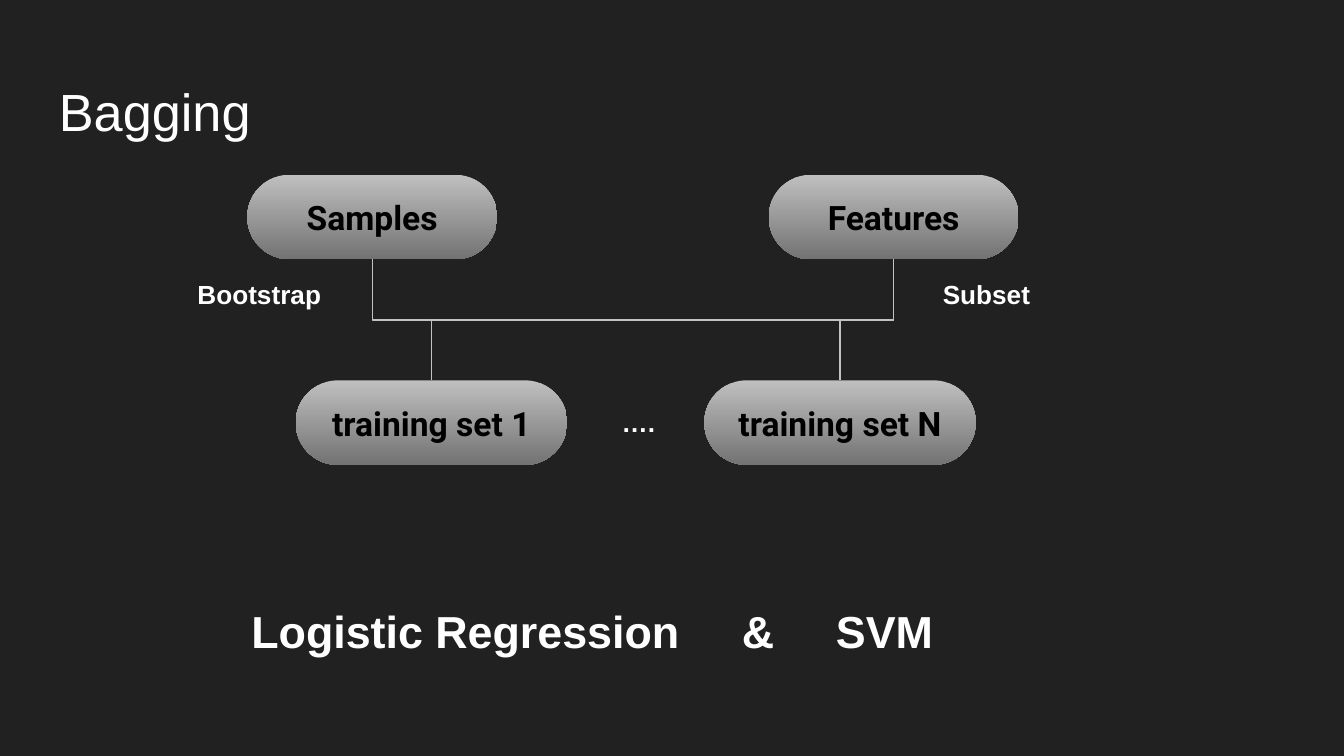
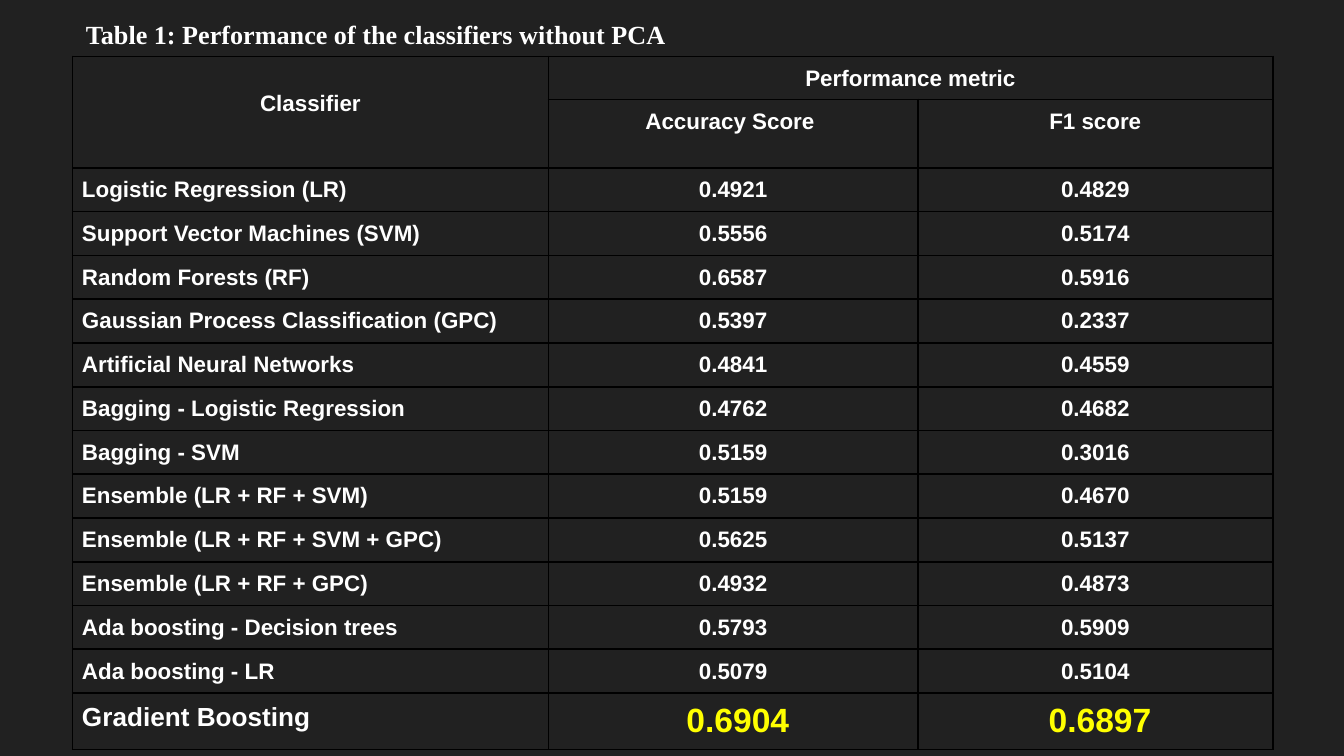
import lxml.etree
import pptx
import pptx.dml.color
import pptx.enum.shapes
import pptx.enum.text
import pptx.oxml.ns
import pptx.util

Inches, Pt = pptx.util.Inches, pptx.util.Pt
ALIGN = pptx.enum.text.PP_ALIGN
ANCHOR = pptx.enum.text.MSO_ANCHOR
SHAPE = pptx.enum.shapes.MSO_SHAPE
qn = pptx.oxml.ns.qn

# Shared look
WIDTH, HEIGHT = 10, 5.625
COLORS = {"background": "212121", "text": "FFFFFF", "pill text": "000000",
          "pill top": "BFBFBF", "pill bottom": "737373", "branch": "C2C2C2",
          "grid": "000000", "best": "FFFF00"}
TITLE_SIZE = (0.932, 0.112)  # shares of the slide
STYLES = {
    "title": {"name": "Arial", "size": Pt(28), "bold": False},
    "caption": {"name": "Times New Roman", "size": Pt(14), "bold": True},
    "pill": {"name": "Roboto", "size": Pt(18), "bold": True},
    "label": {"name": "Arial", "size": Pt(14), "bold": True},
    "models": {"name": "Arial", "size": Pt(24), "bold": True},
    "cell": {"name": "Arial", "size": Pt(12), "bold": True},
    "best": {"name": "Arial", "size": Pt(18), "bold": True},
}

# Content: bagging diagram (centre and width as shares of the slide width)
SOURCES = [("Samples", 0.277, 0.186), ("Features", 0.665, 0.186)]
TRAINING_SETS = [("training set 1", 0.321, 0.202), ("training set N", 0.625, 0.202)]
PILL_ROWS = {"sources": 1.3, "training": 2.83}
PILL_HEIGHT = 0.63
BRANCHES = [("training set 1", "Samples"), ("training set 1", "Features"),
            ("training set N", "Features")]
LABELS = [("Bootstrap", 1.21, 2.01, 1.44), ("Subset", 6.81, 2.01, 1.06),
          ("….", 4.22, 2.96, 1.06)]
LABEL_HEIGHT = 0.36
MODELS = ["Logistic Regression", "&", "SVM"]
MODEL_TABS = [3.65, 4.35]

# Content: results table
HEADERS = [["Classifier", "Performance metric", ""], ["", "Accuracy Score ", "F1 score"]]
RESULTS = [
    ("Logistic Regression (LR)", "0.4921", "0.4829"),
    ("Support Vector Machines (SVM)", "0.5556", "0.5174"),
    ("Random Forests (RF)", "0.6587", "0.5916"),
    ("Gaussian Process Classification (GPC)", "0.5397", "0.2337"),
    ("Artificial Neural Networks", "0.4841", "0.4559"),
    ("Bagging - Logistic Regression", "0.4762", "0.4682"),
    ("Bagging - SVM", "0.5159", "0.3016"),
    ("Ensemble (LR + RF + SVM)", "0.5159", "0.4670"),
    ("Ensemble (LR + RF + SVM + GPC)", "0.5625", "0.5137"),
    ("Ensemble (LR + RF + GPC)", "0.4932", "0.4873"),
    ("Ada boosting - Decision trees", "0.5793", "0.5909"),
    ("Ada boosting - LR", "0.5079", "0.5104"),
    ("Gradient Boosting", " 0.6904", " 0.6897"),
]
COLUMN_WIDTHS = [3.54, 2.75, 2.64]
HEADER_HEIGHTS = [0.32, 0.51]
BODY_HEIGHT, BEST_HEIGHT = 3.91, 0.42  # the body is shared by equal rows
CELL_MARGINS = {"margin_left": Inches(0.07), "margin_right": Inches(0.07),
                "margin_top": Inches(0.07), "margin_bottom": Inches(0.04)}


def rgb(color):
    return pptx.dml.color.RGBColor.from_string(COLORS[color])


def apply(target, values):
    for key, value in values.items():
        setattr(target, key, value)


def write(frame, text, style, color="text", align=ALIGN.LEFT, spacing=None):
    paragraph = frame.paragraphs[0]
    apply(paragraph, {"alignment": align, "line_spacing": spacing})
    run = paragraph.add_run()
    run.text = text
    apply(run.font, STYLES[style])
    run.font.color.rgb = rgb(color)
    return paragraph


def set_frame(frame, anchor=ANCHOR.MIDDLE):
    margins = {f"margin_{side}": Inches(0.1) for side in ("left", "right", "top", "bottom")}
    apply(frame, {"word_wrap": True, "vertical_anchor": anchor, **margins})
    return frame


def add_text(slide, box, anchor=ANCHOR.MIDDLE):
    return set_frame(slide.shapes.add_textbox(*map(Inches, box)).text_frame, anchor)


def add_title(slide, text, style, left, top, spacing=None):
    box = (left, top, TITLE_SIZE[0] * WIDTH, TITLE_SIZE[1] * HEIGHT)
    write(add_text(slide, box, ANCHOR.TOP), text, style, spacing=spacing)


def add_slide(deck):
    slide = deck.slides.add_slide(deck.slide_layouts[6])
    slide.background.fill.solid()
    slide.background.fill.fore_color.rgb = rgb("background")
    return slide


def add_pill(slide, text, centre, share, top):
    box = ((centre - share / 2) * WIDTH, top, share * WIDTH, PILL_HEIGHT)
    pill = slide.shapes.add_shape(SHAPE.ROUNDED_RECTANGLE, *map(Inches, box))
    pill.adjustments[0] = 0.5
    pill.shadow.inherit = False
    pill.line.fill.background()
    pill.fill.gradient()
    pill.fill.gradient_angle = 270
    for stop, color in zip(pill.fill.gradient_stops, ("pill top", "pill bottom")):
        stop.color.rgb = rgb(color)
    write(set_frame(pill.text_frame), text, "pill", "pill text", ALIGN.CENTER)
    return pill


def add_branch(slide, lower, upper):
    """Elbow from the top of the lower pill to the bottom of the upper one."""
    start_x, start_y = lower.left + lower.width // 2, lower.top
    end_x, end_y = upper.left + upper.width // 2, upper.top + upper.height
    branch = slide.shapes.add_connector(
        pptx.enum.shapes.MSO_CONNECTOR.ELBOW, start_x, start_y, end_x, end_y)
    branch.begin_connect(lower, 0)
    branch.end_connect(upper, 2)
    # A vertical elbow is a horizontal one turned by a quarter
    rise, run = start_y - end_y, abs(end_x - start_x)
    apply(branch, {"left": (start_x + end_x - rise) // 2, "top": (start_y + end_y - run) // 2,
                   "width": rise, "height": run})
    leftward = end_x < start_x
    turn = {"rot": "5400000" if leftward else "16200000",
            "flipH": "1" if leftward else "0", "flipV": "0"}
    properties = branch._element.spPr
    for key, value in turn.items():
        properties.find(qn("a:xfrm")).set(key, value)
    branch.line.color.rgb = rgb("branch")
    branch.line.width = Pt(0.75)
    lxml.etree.SubElement(properties, qn("a:effectLst"))


def add_borders(cell):
    properties = cell._tc.get_or_add_tcPr()
    for place, side in enumerate(("lnL", "lnR", "lnT", "lnB")):
        border = lxml.etree.Element(qn(f"a:{side}"), w=str(Pt(1)))
        fill = lxml.etree.SubElement(border, qn("a:solidFill"))
        lxml.etree.SubElement(fill, qn("a:srgbClr"), val=COLORS["grid"])
        properties.insert(place, border)


deck = pptx.Presentation()
apply(deck, {"slide_width": Inches(WIDTH), "slide_height": Inches(HEIGHT)})

# Slide 1: bagging diagram
bagging = add_slide(deck)
add_title(bagging, "Bagging", "title", 0.34, 0.49)
pills = {}
for row, items in (("sources", SOURCES), ("training", TRAINING_SETS)):
    for text, centre, share in items:
        pills[text] = add_pill(bagging, text, centre, share, PILL_ROWS[row])
for lower, upper in BRANCHES:
    add_branch(bagging, pills[lower], pills[upper])
for text, left, top, width in LABELS:
    write(add_text(bagging, (left, top, width, LABEL_HEIGHT)), text, "label",
          align=ALIGN.CENTER)

models = add_text(bagging, (0.77, 4.04, 7.28, 1.1))
models.margin_left = Inches(1.1)
models_line = write(models, "\t".join(MODELS), "models", spacing=1.5)
tab_list = lxml.etree.SubElement(models_line._p.get_or_add_pPr(), qn("a:tabLst"))
for position in MODEL_TABS:
    lxml.etree.SubElement(tab_list, qn("a:tab"), pos=str(Inches(position)), algn="l")

# Slide 2: results table
results = add_slide(deck)
add_title(results, "Table 1: Performance of the classifiers without PCA", "caption",
          0.54, 0, 1.15)
rows = HEADERS + RESULTS
body_rows = len(RESULTS) - 1
heights = HEADER_HEIGHTS + [BODY_HEIGHT / body_rows] * body_rows + [BEST_HEIGHT]
scores = results.shapes.add_table(
    len(rows), len(COLUMN_WIDTHS),
    *map(Inches, (0.54, 0.42, sum(COLUMN_WIDTHS), sum(heights)))).table
apply(scores, {"first_row": False, "horz_banding": False})
for column, width in zip(scores.columns, COLUMN_WIDTHS):
    column.width = Inches(width)
for row, height in zip(scores.rows, heights):
    row.height = Inches(height)

for r, values in enumerate(rows):
    for c, value in enumerate(values):
        cell = scores.cell(r, c)
        apply(cell, CELL_MARGINS)
        cell.fill.background()
        add_borders(cell)
        is_label = c == 0 and r >= len(HEADERS)
        style, color = "cell", "text"
        if r == len(rows) - 1:
            style, color = ("label", "text") if is_label else ("best", "best")
        if value:
            write(cell.text_frame, value, style, color,
                  ALIGN.LEFT if is_label else ALIGN.CENTER)
        else:
            cell.text_frame.paragraphs[0].font.size = STYLES["cell"]["size"]
scores.cell(0, 0).merge(scores.cell(1, 0))
scores.cell(0, 1).merge(scores.cell(0, 2))
scores.cell(0, 0).margin_top = Inches(0.26)

deck.save("out.pptx")
